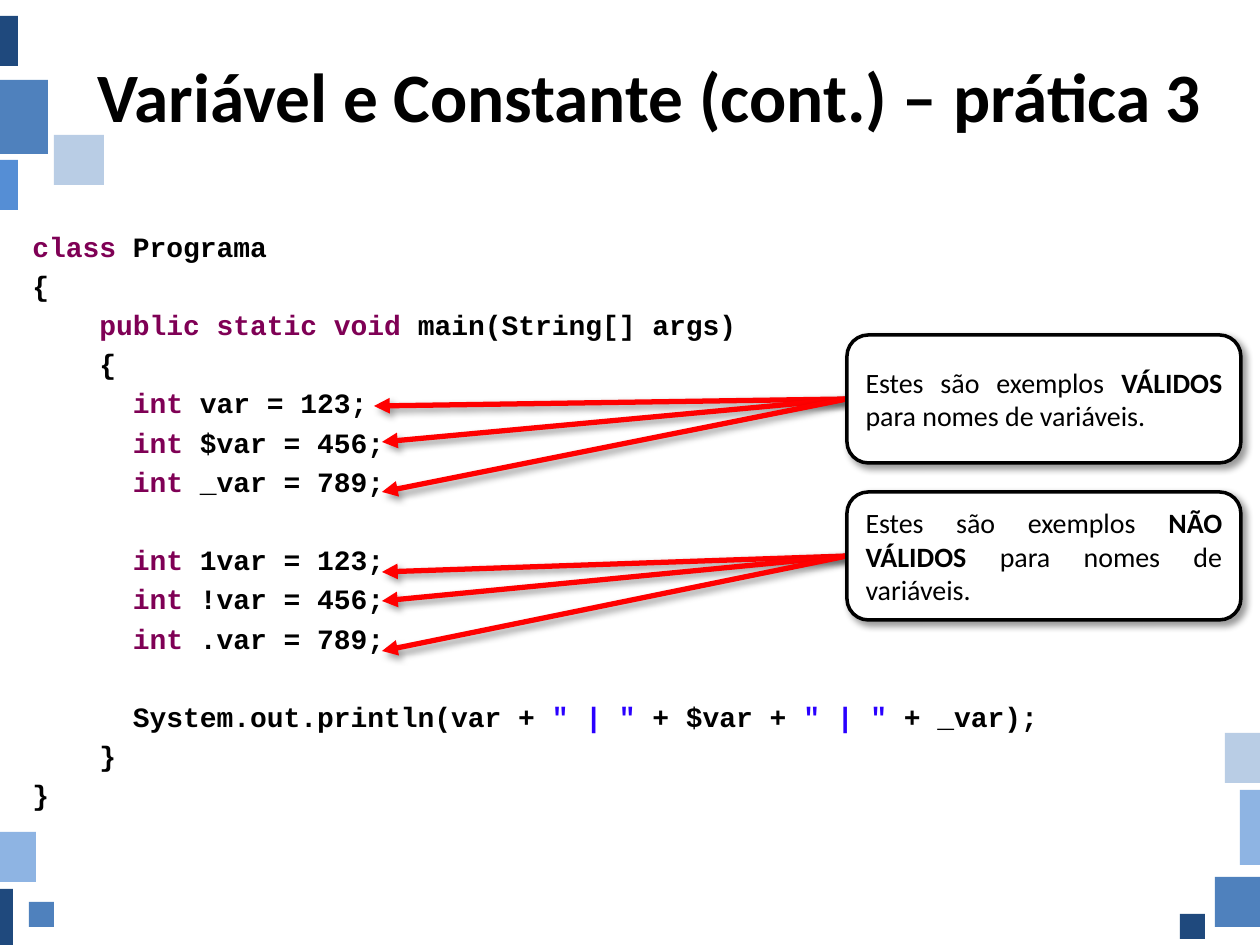
"""Build a slide on valid and invalid variable names."""
from lxml.etree import SubElement
from pptx import Presentation
from pptx.dml.color import RGBColor as Rgb
from pptx.enum.shapes import MSO_CONNECTOR as Conn, MSO_SHAPE as Geo
from pptx.enum.text import MSO_ANCHOR as Anchor, PP_ALIGN as Align
from pptx.oxml import parse_xml
from pptx.oxml.ns import nsdecls, qn
from pptx.util import Pt

PX = 914400 // 126
HUES = {
    "black": "000000", "white": "FFFFFF", "red": "FF0000",
    "word": "7F0055", "quote": "2A00FF",
    "navy": "1F497D", "blue": "4F81BD", "bright": "558ED5",
    "sky": "8EB4E3", "pale": "B9CDE5",
}
INK = {name: Rgb.from_string(hue) for name, hue in HUES.items()}


def write(frame, lines, font="Calibri", size=16, bold=False, align=Align.LEFT,
          anchor=Anchor.TOP, gap=0, skip=0):
    frame.word_wrap = True
    frame.vertical_anchor = anchor
    para, space = frame.paragraphs[0], 0
    for line in lines:
        if not line:
            space += skip
            continue
        if para.runs:
            para = frame.add_paragraph()
        para.alignment = align
        para.space_before = Pt(space)
        space = gap
        for part, hue, heavy in line:
            run = para.add_run()
            run.text = part
            run.font.name = font
            run.font.size = Pt(size)
            run.font.bold = bold or heavy
            run.font.color.rgb = INK[hue]


def cast(shape):
    shape._element.spPr.append(parse_xml(
        f'<a:effectLst {nsdecls("a")}>'
        '<a:outerShdw blurRad="50800" dist="38100" dir="2700000" algn="tl" rotWithShape="0">'
        '<a:srgbClr val="000000"><a:alpha val="40000"/></a:srgbClr>'
        '</a:outerShdw></a:effectLst>'))


deck = Presentation()
deck.slide_width, deck.slide_height = 1260 * PX, 945 * PX
slide = deck.slides.add_slide(deck.slide_layouts[6])
shapes = slide.shapes

tiles = [
    (0, 16, 18, 50, "navy"), (0, 80, 48, 74, "blue"),
    (0, 160, 18, 50, "bright"), (54, 135, 50, 50, "pale"),
    (1215, 877, 45, 50, "blue"), (1240, 790, 20, 75, "sky"),
    (1225, 733, 35, 50, "pale"), (1180, 914, 25, 25, "navy"),
    (0, 889, 13, 56, "navy"), (0, 832, 36, 50, "sky"),
    (29, 902, 25, 25, "blue"),
]
for *rect, hue in tiles:
    tile = shapes.add_shape(Geo.RECTANGLE, *(n * PX for n in rect))
    tile.shadow.inherit = False
    tile.fill.solid()
    tile.fill.fore_color.rgb = INK[hue]
    tile.line.fill.background()

title = shapes.add_textbox(54 * PX, 16 * PX, 1191 * PX, 158 * PX)
write(title.text_frame, [[("Variável e Constante (cont.) – prática 3", "black", True)]],
      size=39.6, align=Align.CENTER, anchor=Anchor.MIDDLE)

good, bad = [
    [[("      ", "black", True), ("int", "word", True), (f" {name} = {num};", "black", True)]
     for name, num in zip(names, (123, 456, 789))]
    for names in (("var", "$var", "_var"), ("1var", "!var", ".var"))
]
bar = ('" | "', "quote", True)
code = [
    [("class", "word", True), (" Programa", "black", True)],
    [("{", "black", True)],
    [("    ", "black", True), ("public static void", "word", True),
     (" main(String[] args)", "black", True)],
    [("    {", "black", True)],
    *good,
    [],
    *bad,
    [],
    [("      System.out.println(var + ", "black", True), bar,
      (" + $var + ", "black", True), bar, (" + _var);", "black", True)],
    [("    }", "black", True)],
    [("}", "black", True)],
]
body = shapes.add_textbox(20 * PX, 223 * PX, 1221 * PX, 653 * PX)
write(body.text_frame, code, font="Courier New", bold=True, gap=3.2, skip=22.4)

notes = [
    (335, "VÁLIDOS", [(374, 406), (382, 442), (382, 492)]),
    (492, "NÃO VÁLIDOS", [(382, 572), (382, 601), (382, 651)]),
]
for top, kind, tips in notes:
    for x, y in tips:
        arrow = shapes.add_connector(Conn.STRAIGHT, 847 * PX, (top + 64) * PX, x * PX, y * PX)
        arrow.line.color.rgb = INK["red"]
        arrow.line.width = Pt(3)
        SubElement(arrow._element.spPr.find(qn("a:ln")), qn("a:tailEnd"), type="triangle")
        cast(arrow)

for top, kind, tips in notes:
    box = shapes.add_shape(Geo.ROUNDED_RECTANGLE, 847 * PX, top * PX, 394 * PX, 128 * PX)
    box.fill.solid()
    box.fill.fore_color.rgb = INK["white"]
    box.line.color.rgb = INK["black"]
    box.line.width = Pt(2)
    cast(box)
    write(box.text_frame, [[("Estes são exemplos ", "black", False), (kind, "black", True),
                            (" para nomes de variáveis.", "black", False)]],
          align=Align.JUSTIFY, anchor=Anchor.MIDDLE)

deck.save("out.pptx")
